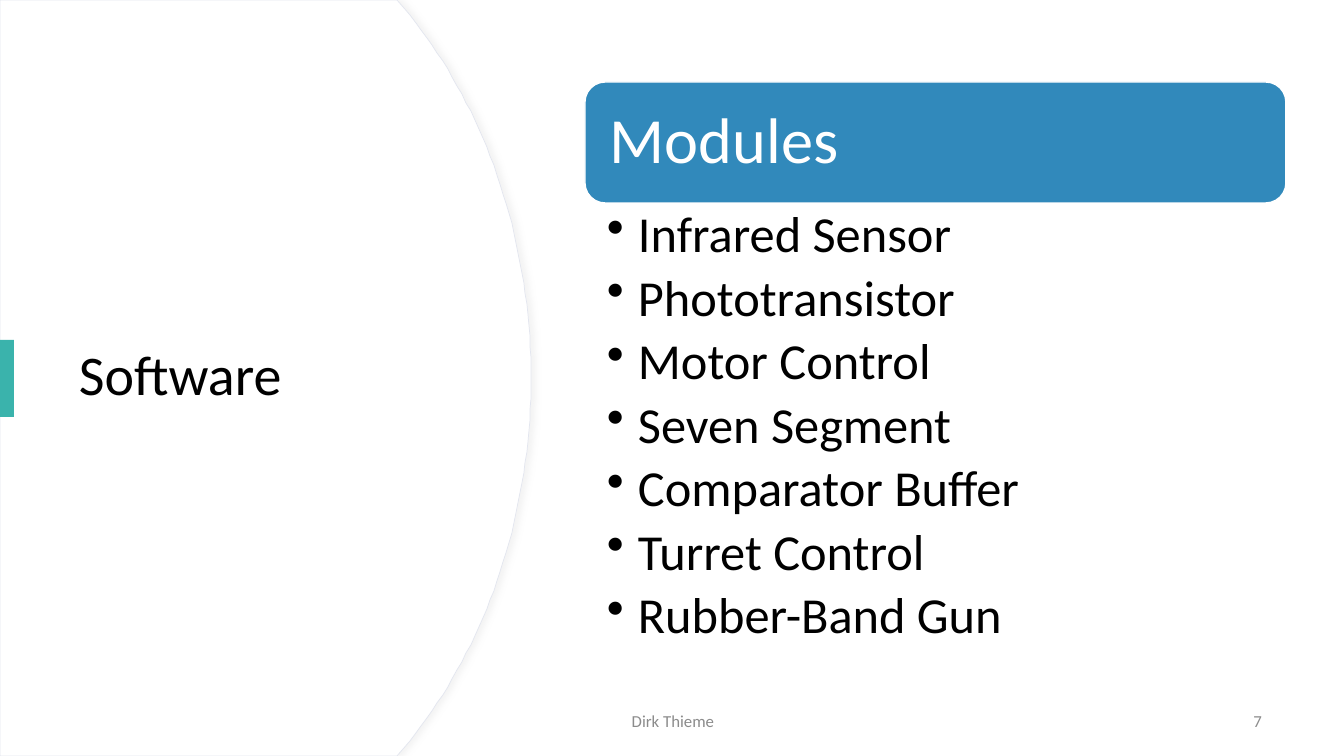
import pptx
import pptx.util
import pptx.dml.color
import pptx.enum.shapes
import pptx.enum.text
from lxml import etree

PX = 914400 / 100.8  # EMU in one px
THEME = {
    "font": "Calibri",
    "white": "FFFFFF", "black": "000000", "grey": "8C8C8C",
    "edge": "E3E6EF", "shade": "D9D9D9", "teal": "3AB3AC", "blue": "3189BB",
    "title": 40, "head": 46, "list": 36, "foot": 12,
}
MODULES = ["Infrared Sensor", "Phototransistor", "Motor Control", "Seven Segment",
           "Comparator Buffer", "Turret Control", "Rubber-Band Gun"]
ALIGN = pptx.enum.text.PP_ALIGN
ANCHOR = pptx.enum.text.MSO_ANCHOR
KIND = pptx.enum.shapes.MSO_SHAPE


def paint(shape, fill, line=None, width=1):
    shape.shadow.inherit = False
    shape.fill.solid()
    shape.fill.fore_color.rgb = pptx.dml.color.RGBColor.from_string(THEME[fill])
    if line:
        shape.line.color.rgb = pptx.dml.color.RGBColor.from_string(THEME[line])
        shape.line.width = pptx.util.Pt(width)
    else:
        shape.line.fill.background()


def write(box, lines, size, color, align=ALIGN.LEFT, anchor=ANCHOR.MIDDLE,
          inset=(10, 5, 10, 5), space=0.9, after=0):
    frame = slide.shapes.add_textbox(*[round(v * PX) for v in box]).text_frame
    frame.word_wrap = True
    frame.vertical_anchor = anchor
    (frame.margin_left, frame.margin_top,
     frame.margin_right, frame.margin_bottom) = [round(v * PX) for v in inset]
    frame.text = "\n".join(lines)
    for para in frame.paragraphs:
        para.alignment = align
        para.line_spacing = space
        para.space_after = pptx.util.Pt(after)
        para.font.name = THEME["font"]
        para.font.size = pptx.util.Pt(THEME[size])
        para.font.color.rgb = pptx.dml.color.RGBColor.from_string(THEME[color])
    return frame


deck = pptx.Presentation()
deck.slide_width, deck.slide_height = round(1344 * PX), round(756 * PX)
slide = deck.slides.add_slide(deck.slide_layouts[6])

# Curved panel: upper half of the bulge, mirrored below
knots = [(404, 8), (483, 103), (531, 234), (531, 378)]
upper = [(397, 0)]
for step in range(41):
    t = step / 40
    mix = [(1 - t) ** 3, 3 * t * (1 - t) ** 2, 3 * t * t * (1 - t), t ** 3]
    upper.append(tuple(sum(m * k[axis] for m, k in zip(mix, knots)) for axis in (0, 1)))
lower = [(x, 756 - y) for x, y in reversed(upper[:-1])]
path = slide.shapes.build_freeform(0, 0, scale=PX)
path.add_line_segments(upper + lower + [(0, 756)], close=True)
panel = path.convert_to_shape()
paint(panel, "white", "edge", 0.5)

# Soft shadow to the right of the panel
effect = panel.element.spPr.find(pptx.oxml.ns.qn("a:effectLst"))
shadow = etree.SubElement(effect, pptx.oxml.ns.qn("a:outerShdw"),
                          blurRad="50800", dist="38100", dir="0")
shade = etree.SubElement(shadow, pptx.oxml.ns.qn("a:srgbClr"), val=THEME["shade"])
etree.SubElement(shade, pptx.oxml.ns.qn("a:alpha"), val="30000")

# Title with its accent bar
write((69, 128, 397, 499), ["Software"], "title", "black")
bar = slide.shapes.add_shape(KIND.RECTANGLE, 0, *[round(v * PX) for v in (340, 14, 77)])
paint(bar, "teal")

# Footer and slide number
write((446, 701, 454, 40), ["Dirk Thieme"], "foot", "grey", ALIGN.CENTER, space=1, after=6)
write((970, 701, 302, 40), ["7"], "foot", "grey", ALIGN.RIGHT, space=1, after=6)

# Heading band
band = slide.shapes.add_shape(KIND.ROUNDED_RECTANGLE,
                              *[round(v * PX) for v in (585, 82, 701, 121)])
paint(band, "blue", "white")
write((591, 88, 689, 109), ["Modules"], "head", "white", inset=(19, 19, 19, 19))

# Module list
items = write((585, 203, 701, 473), MODULES, "list", "black", anchor=ANCHOR.TOP,
              inset=(22, 6, 36, 6), after=6.5)
for para in items.paragraphs:
    props = para._p.get_or_add_pPr()
    props.set("marL", str(round(31 * PX)))
    props.set("indent", str(round(-31 * PX)))
    bullet = pptx.oxml.parse_xml(
        '<a:buChar xmlns:a="http://schemas.openxmlformats.org/drawingml/2006/main" char="•"/>')
    props.find(pptx.oxml.ns.qn("a:spcAft")).addnext(bullet)

deck.save("out.pptx")
